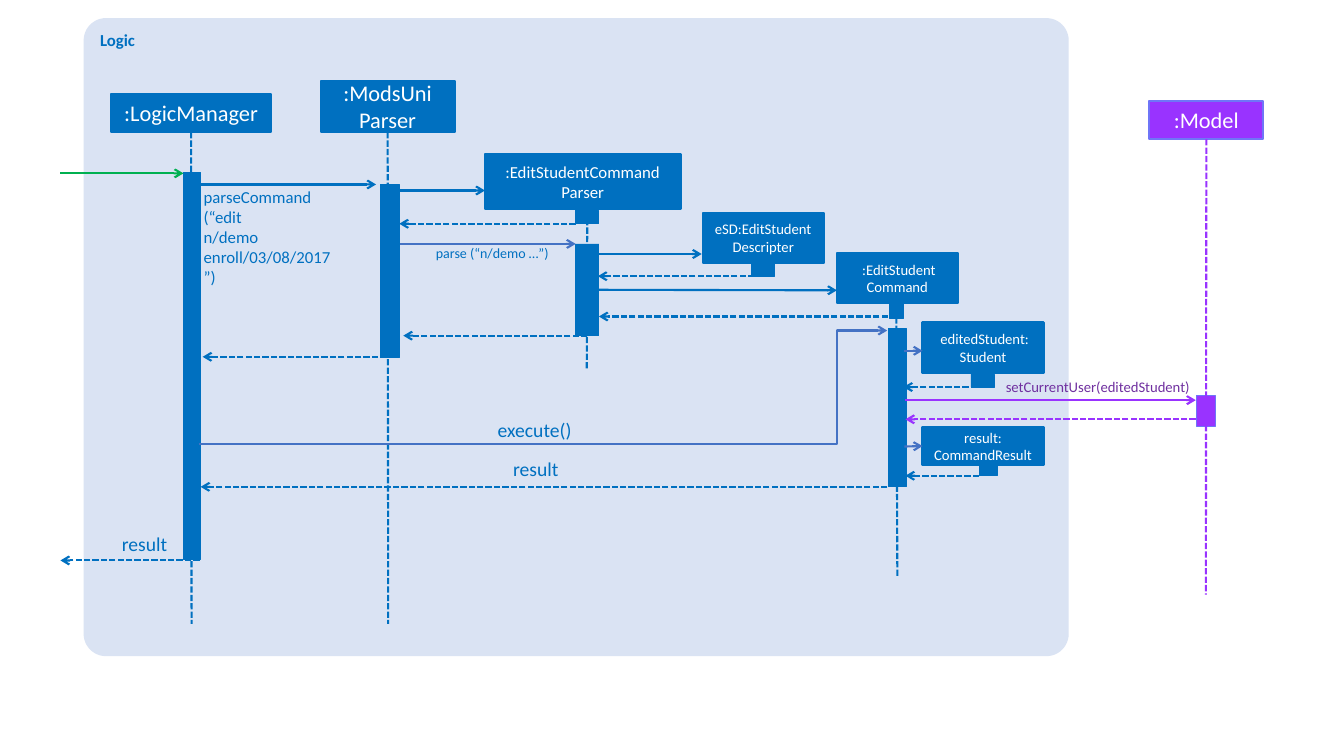
from dataclasses import dataclass

from lxml import etree
from pptx import Presentation
from pptx.dml.color import RGBColor
from pptx.enum import dml, shapes, text
from pptx.oxml.ns import qn
from pptx.util import Inches, Pt


@dataclass(frozen=True)
class Theme:
    font: str = "Calibri"
    panel: str = "DAE3F3"
    blue: str = "0070C0"
    steel: str = "4472C4"
    green: str = "00B050"
    violet: str = "9933FF"
    violet_edge: str = "6F75F7"
    purple: str = "7030A0"
    white: str = "FFFFFF"
    title: float = 16
    label: float = 14
    body: float = 12
    small: float = 10.5
    tiny: float = 10
    line: float = 1.5
    thin: float = 0.5


T = Theme()

# Content: each text is a list of paragraphs, "\n" breaks a line inside one
PANEL = ((0.83, 0.18, 9.77, 6.33), ["Logic"])

# (left, top, width, height), paragraphs, size, fill, edge
PARTICIPANTS = [
    ((1.1, 0.93, 1.59, 0.38), [":LogicManager"], T.title, T.blue, T.blue),
    ((3.18, 0.8, 1.33, 0.51), [":ModsUni\nParser"], T.title, T.blue, T.blue),
    ((11.4, 1, 1.13, 0.38), [":Model"], T.title, T.violet, T.violet_edge),
    ((4.81, 1.53, 1.94, 0.54), [":EditStudentCommand", "Parser"], T.body, T.blue, T.blue),
    ((6.97, 2.11, 1.2, 0.5), ["eSD:EditStudent", "Descripter"], T.small, T.blue, T.blue),
    ((8.3, 2.51, 1.2, 0.5), [" :EditStudent", "Command"], T.small, T.blue, T.blue),
    ((9.15, 3.2, 1.2, 0.5), [" editedStudent:\nStudent"], T.small, T.blue, T.blue),
    ((9.15, 4.24, 1.2, 0.37), ["result:\nCommandResult"], T.small, T.blue, T.blue),
]

# (left, top, width, height), fill, edge
ACTIVATIONS = [
    ((1.82, 1.71, 0.17, 3.84), T.blue, T.blue),
    ((3.77, 1.83, 0.19, 1.72), T.blue, T.blue),
    ((5.71, 2.09, 0.23, 0.13), T.blue, T.blue),
    ((5.71, 2.42, 0.23, 0.91), T.blue, T.blue),
    ((7.45, 2.61, 0.23, 0.13), T.blue, T.blue),
    ((8.82, 2.98, 0.14, 0.18), T.blue, T.blue),
    ((8.81, 3.26, 0.18, 1.57), T.blue, T.blue),
    ((9.63, 3.71, 0.23, 0.13), T.blue, T.blue),
    ((9.71, 4.62, 0.18, 0.1), T.blue, T.blue),
    ((11.87, 3.92, 0.18, 0.31), T.violet, T.violet_edge),
]

# x, top, bottom, colour
LIFELINES = [
    (1.9, 1.31, 6.19, T.blue),
    (3.85, 1.31, 6.19, T.blue),
    (5.82, 2.09, 3.67, T.blue),
    (8.9, 2.98, 5.72, T.blue),
    (11.96, 1.38, 5.9, T.violet),
]

# y, from x, to x, colour
CALLS = [
    (1.72, 0.6, 1.82, T.green),
    (1.83, 1.99, 3.73, T.blue),
    (1.89, 3.91, 4.81, T.blue),
    (2.42, 3.97, 5.71, T.steel),
    (2.52, 5.93, 6.96, T.blue),
    (2.88, 5.93, 8.3, T.blue),
    (3.48, 8.97, 9.15, T.steel),
    (3.97, 8.98, 11.86, T.violet),
    (4.43, 8.97, 9.15, T.steel),
]
RETURNS = [
    (2.22, 5.71, 3.96, T.blue),
    (2.74, 7.56, 5.93, T.blue),
    (3.14, 8.89, 5.94, T.blue),
    (3.33, 5.82, 4, T.blue),
    (3.54, 3.75, 2.01, T.blue),
    (3.84, 9.69, 8.96, T.blue),
    (4.16, 11.86, 8.98, T.violet),
    (4.72, 9.71, 8.98, T.blue),
    (4.83, 8.8, 1.99, T.blue),
    (5.56, 1.98, 0.6, T.blue),
]
EXECUTE = ((1.97, 4.41), (8.8, 3.28), 0.927)  # from, to, position of the bend

# (left, top, width, height), paragraphs, size, colour, alignment
LEFT, CENTER, RIGHT = text.PP_ALIGN.LEFT, text.PP_ALIGN.CENTER, text.PP_ALIGN.RIGHT
LABELS = [
    ((2.02, 1.85, 1.56, 1.01),
     ["parseCommand", "(“edit\nn/demo\nenroll/03/08/2017", "”)"], T.body, T.blue, LEFT),
    ((3.88, 2.43, 1.56, 0.17), ["parse (“n/demo …”)"], T.tiny, T.blue, RIGHT),
    ((9.65, 3.75, 2.15, 0.18), ["setCurrentUser(editedStudent)"], T.small, T.purple, RIGHT),
    ((4.73, 4.15, 0.94, 0.24), ["execute()"], T.label, T.blue, RIGHT),
    ((4.86, 4.53, 0.68, 0.24), ["result"], T.label, T.blue, RIGHT),
    ((0.83, 5.28, 0.83, 0.24), ["result"], T.label, T.blue, RIGHT),
]

prs = Presentation()
prs.slide_width, prs.slide_height = Inches(13.33), Inches(7.5)
canvas = prs.slides.add_slide(prs.slide_layouts[6]).shapes
side_middles = []  # (x, y, shape, connection site)


def rgb(value):
    return RGBColor.from_string(value)


def write(tf, paragraphs, size, color, align, bold=False):
    tf.word_wrap = True
    for i, content in enumerate(paragraphs):
        p = tf.paragraphs[0] if i == 0 else tf.add_paragraph()
        p.alignment = align
        for j, part in enumerate(content.split("\n")):
            if j:
                p.add_line_break()
            r = p.add_run()
            r.text = part
            r.font.name, r.font.size, r.font.bold = T.font, Pt(size), bold
            r.font.color.rgb = rgb(color)


def add_block(kind, box, fill, edge=None, width=T.line):
    sp = canvas.add_shape(kind, *map(Inches, box))
    sp.shadow.inherit = False
    sp.fill.solid()
    sp.fill.fore_color.rgb = rgb(fill)
    if edge:
        sp.line.color.rgb, sp.line.width = rgb(edge), Pt(width)
    else:
        sp.line.fill.background()
    return sp


def add_rect(box, fill, edge, width):
    sp = add_block(shapes.MSO_SHAPE.RECTANGLE, box, fill, edge, width)
    x, y, w, h = box
    middles = [(x + w / 2, y), (x, y + h / 2), (x + w / 2, y + h), (x + w, y + h / 2)]
    side_middles.extend((mx, my, sp, site) for site, (mx, my) in enumerate(middles))
    return sp


def add_line(start, end, color, dashed=False, arrow=True, kind=shapes.MSO_CONNECTOR.STRAIGHT):
    c = canvas.add_connector(kind, *map(Inches, start + end))
    c.line.color.rgb, c.line.width = rgb(color), Pt(T.line)
    if dashed:
        c.line.dash_style = dml.MSO_LINE.SQUARE_DOT
    if arrow:
        etree.SubElement(c.line._get_or_add_ln(), qn("a:tailEnd"), type="arrow")
    etree.SubElement(c._element.spPr, qn("a:effectLst"))
    if kind == shapes.MSO_CONNECTOR.STRAIGHT:
        for (x, y), connect in ((start, c.begin_connect), (end, c.end_connect)):
            for mx, my, sp, site in side_middles:
                if abs(mx - x) < 0.015 and abs(my - y) < 0.015:
                    connect(sp, site)
                    break
    return c


# Logic panel
box, heading = PANEL
panel = add_block(shapes.MSO_SHAPE.ROUNDED_RECTANGLE, box, T.panel)
panel.adjustments[0] = 0.035
panel.text_frame.vertical_anchor = text.MSO_ANCHOR.TOP
write(panel.text_frame, heading, T.body, T.blue, LEFT, bold=True)

# Participants and activation bars
for box, paragraphs, size, fill, edge in PARTICIPANTS:
    sp = add_rect(box, fill, edge, T.line)
    sp.text_frame.vertical_anchor = text.MSO_ANCHOR.MIDDLE
    write(sp.text_frame, paragraphs, size, T.white, CENTER)
for box, fill, edge in ACTIVATIONS:
    add_rect(box, fill, edge, T.thin)

# Lifelines and messages
for x, top, bottom, color in LIFELINES:
    add_line((x, top), (x, bottom), color, dashed=True, arrow=False)
for messages, dashed in ((CALLS, False), (RETURNS, True)):
    for y, x1, x2, color in messages:
        add_line((x1, y), (x2, y), color, dashed)

# Execute call with its bend
start, end, bend = EXECUTE
elbow = add_line(start, end, T.steel, kind=shapes.MSO_CONNECTOR.ELBOW)
guides = elbow._element.spPr.find(qn("a:prstGeom")).get_or_add_avLst()
etree.SubElement(guides, qn("a:gd"), name="adj1", fmla=f"val {round(bend * 100000)}")

# Message labels
for box, paragraphs, size, color, align in LABELS:
    tf = canvas.add_textbox(*map(Inches, box)).text_frame
    tf.margin_left = tf.margin_right = tf.margin_top = tf.margin_bottom = 0
    tf.auto_size = text.MSO_AUTO_SIZE.SHAPE_TO_FIT_TEXT
    write(tf, paragraphs, size, color, align)

prs.save("out.pptx")
